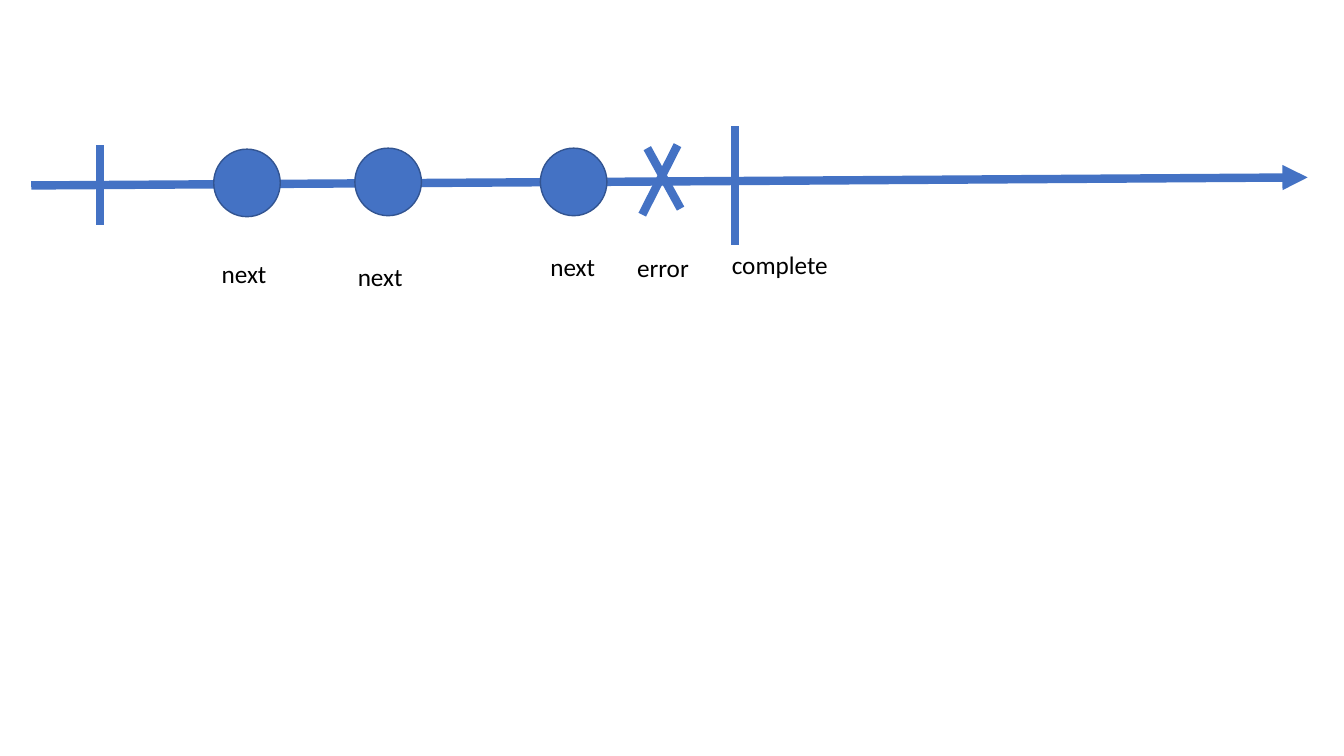
from typing import NamedTuple

from lxml import etree
from pptx import Presentation
from pptx import util as u
from pptx.dml.color import RGBColor
from pptx.enum import shapes, text
from pptx.oxml import ns

PX = 9144  # EMU per px, 100 px to the inch
BLUE = RGBColor(0x44, 0x72, 0xC4)
DARK_BLUE = RGBColor(0x32, 0x54, 0x91)
BLACK = RGBColor(0, 0, 0)
FONT = "Calibri"
CIRCLE_W, CIRCLE_H = 66, 67
LABEL_H = 40


class Stroke(NamedTuple):
    x1: int
    y1: int
    x2: int
    y2: int
    arrow: bool = False


class Event(NamedTuple):
    x: int
    y: int


class Label(NamedTuple):
    wording: str
    x: int
    y: int
    width: int


AXIS = Stroke(31, 184, 1297, 176, arrow=True)
START = Stroke(99, 144, 99, 223)
COMPLETE = Stroke(729, 125, 729, 243)
ERROR_CROSS = [Stroke(642, 147, 675, 207), Stroke(672, 144, 637, 213)]
NEXT_EVENTS = [Event(212, 148), Event(352, 147), Event(536, 147)]
LABELS = [
    Label("next", 210, 251, 65),
    Label("next", 345, 254, 65),
    Label("next", 536, 244, 65),
    Label("error", 622, 245, 72),
    Label("complete", 716, 242, 117),
]


def px(n: int) -> u.Emu:
    return u.Emu(n * PX)


def draw_stroke(slide, stroke: Stroke) -> None:
    c = slide.shapes.add_connector(
        shapes.MSO_CONNECTOR.STRAIGHT,
        px(stroke.x1), px(stroke.y1), px(stroke.x2), px(stroke.y2))
    c.line.color.rgb = BLUE
    c.line.width = u.Pt(6)
    if stroke.arrow:
        etree.SubElement(c.line._get_or_add_ln(), ns.qn("a:tailEnd"), type="triangle")
    etree.SubElement(c._element.spPr, ns.qn("a:effectLst"))


def draw_event(slide, event: Event) -> None:
    sp = slide.shapes.add_shape(
        shapes.MSO_SHAPE.OVAL,
        px(event.x), px(event.y), px(CIRCLE_W), px(CIRCLE_H))
    sp.shadow.inherit = False
    sp.fill.solid()
    sp.fill.fore_color.rgb = BLUE
    sp.line.color.rgb = DARK_BLUE
    sp.line.width = u.Pt(1)


def draw_label(slide, label: Label) -> None:
    sp = slide.shapes.add_textbox(
        px(label.x), px(label.y), px(label.width), px(LABEL_H))
    tf = sp.text_frame
    tf.word_wrap = False
    tf.auto_size = text.MSO_AUTO_SIZE.SHAPE_TO_FIT_TEXT
    r = tf.paragraphs[0].add_run()
    r.text = label.wording
    r.font.name = FONT
    r.font.size = u.Pt(18)
    r.font.color.rgb = BLACK


def main() -> None:
    prs = Presentation()
    prs.slide_width, prs.slide_height = px(1333), px(750)
    slide = prs.slides.add_slide(prs.slide_layouts[6])

    # Time axis and start mark
    for stroke in (AXIS, START):
        draw_stroke(slide, stroke)

    # Emitted values
    for event in NEXT_EVENTS:
        draw_event(slide, event)

    # Completion bar and error cross
    for stroke in (COMPLETE, *ERROR_CROSS):
        draw_stroke(slide, stroke)

    # Captions
    for label in LABELS:
        draw_label(slide, label)

    prs.save("out.pptx")


if __name__ == "__main__":
    main()
